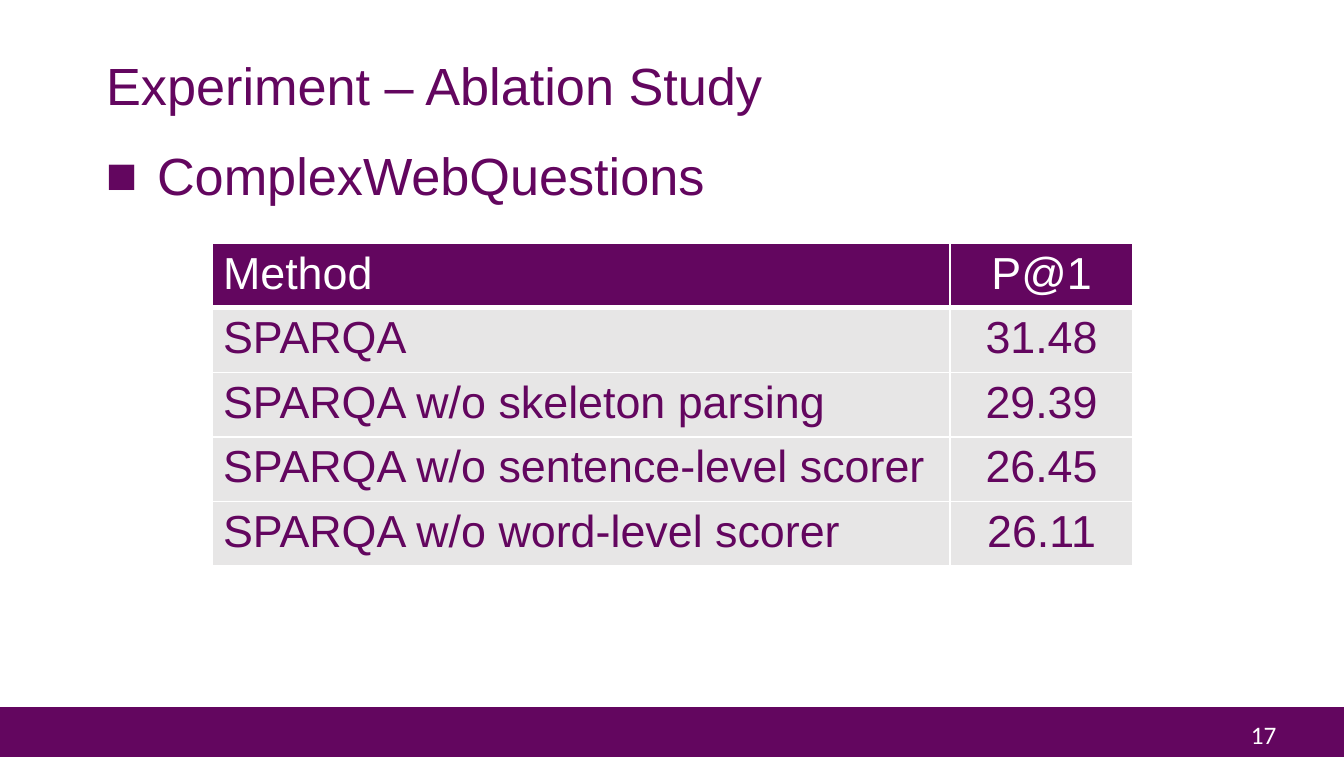
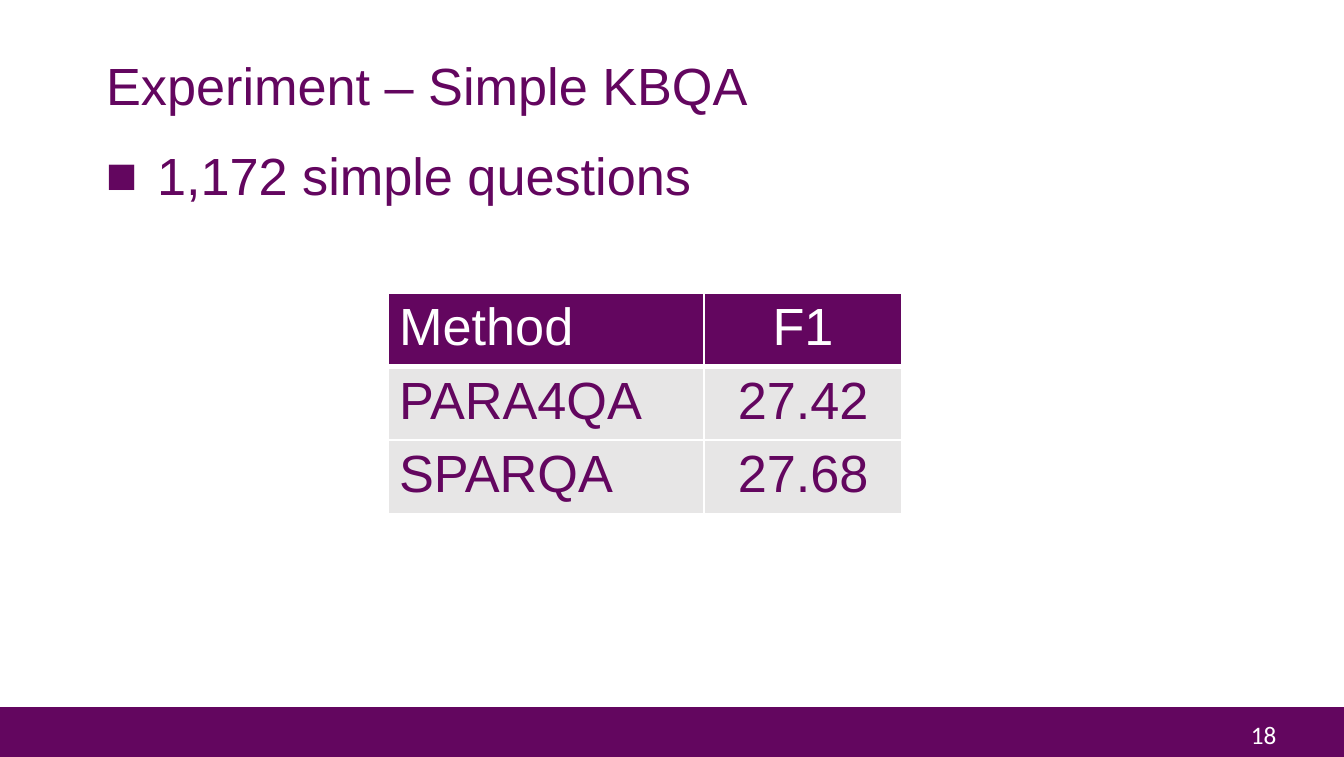
from pptx import Presentation
from pptx.dml.color import RGBColor
from pptx.enum.shapes import MSO_SHAPE as Shape
from pptx.enum.text import MSO_ANCHOR as Anchor, MSO_AUTO_SIZE as AutoSize, PP_ALIGN as Align
from pptx.oxml.ns import qn
from pptx.util import Inches, Pt
from lxml.etree import SubElement

COLORS = {"purple": "63065F", "white": "FFFFFF", "grey": "E7E6E6"}
TITLE_ONLY = 5
TEXT_LEFT, TEXT_WIDTH = 0.69, 8.62


def color(name):
    return RGBColor.from_string(COLORS[name])


def style(para, size, color_name, align=Align.LEFT, font_name="Arial"):
    para.alignment = align
    para.font.size = Pt(size)
    para.font.name = font_name
    para.font.bold = False
    para.font.color.rgb = color(color_name)


def add_text(page, text, left, top, width, height, wrap=True):
    box = page.shapes.add_textbox(Inches(left), Inches(top), Inches(width), Inches(height))
    box.text_frame.word_wrap = wrap
    para = box.text_frame.paragraphs[0]
    para.text = text
    return para


def add_footer(page, number):
    band = page.shapes.add_shape(Shape.RECTANGLE, 0, Inches(5.26), Inches(10), Inches(0.37))
    band.shadow.inherit = False
    band.fill.solid()
    band.fill.fore_color.rgb = color("purple")
    band.line.fill.background()
    para = add_text(page, str(number), 9.21, 5.3, 0.43, 0.33, wrap=False)
    style(para, 13.5, "white", font_name="Calibri")


def set_title(page, text):
    title = page.shapes.title
    title.left, title.top = Inches(TEXT_LEFT), Inches(0.39)
    title.width, title.height = Inches(TEXT_WIDTH), Inches(0.54)
    frame = title.text_frame
    frame.text = text
    frame.vertical_anchor = Anchor.MIDDLE
    frame.auto_size = AutoSize.NONE
    para = frame.paragraphs[0]
    para.line_spacing = 0.9
    style(para, 28, "purple")


def add_bullet(page, text):
    para = add_text(page, text, TEXT_LEFT, 1.07, TEXT_WIDTH, 3.98)
    para.line_spacing = 0.9
    para.space_before = Pt(7.5)
    style(para, 28, "purple")
    props = para._p.get_or_add_pPr()
    props.set("marL", str(Inches(0.38)))
    props.set("indent", str(-Inches(0.38)))
    bullet_color = SubElement(props, qn("a:buClr"))
    SubElement(bullet_color, qn("a:srgbClr"), val=COLORS["purple"])
    SubElement(props, qn("a:buFont"), typeface="Arial")
    SubElement(props, qn("a:buChar"), char="■")


def set_borders(cell, top, bottom):
    props = cell._tc.get_or_add_tcPr()
    for side, width in (("L", 1), ("R", 1), ("T", top), ("B", bottom)):
        line = SubElement(props, qn(f"a:ln{side}"), w=str(Pt(width)))
        fill = SubElement(line, qn("a:solidFill"))
        SubElement(fill, qn("a:srgbClr"), val=COLORS["white"])


def fill_cell(cell, text, row, column, size):
    is_header = row == 0
    set_borders(cell, top=3 if row == 1 else 1, bottom=3 if is_header else 1)
    cell.fill.solid()
    cell.fill.fore_color.rgb = color("purple" if is_header else "grey")
    cell.margin_left = cell.margin_right = Inches(0.08)
    cell.margin_top = cell.margin_bottom = Inches(0.04)
    cell.text = text
    style(cell.text_frame.paragraphs[0], size, "white" if is_header else "purple",
          Align.CENTER if column else Align.LEFT)


def add_score_table(page, rows, left, top, widths, row_height, size):
    frame = page.shapes.add_table(len(rows), len(widths), Inches(left), Inches(top),
                                  Inches(sum(widths)), Inches(row_height * len(rows)))
    table = frame.table
    for column, width in zip(table.columns, widths):
        column.width = Inches(width)
    for r, values in enumerate(rows):
        table.rows[r].height = Inches(row_height)
        for c, text in enumerate(values):
            fill_cell(table.cell(r, c), text, r, c, size)


def add_page(deck, number, title, bullet):
    page = deck.slides.add_slide(deck.slide_layouts[TITLE_ONLY])
    add_footer(page, number)
    add_bullet(page, bullet)
    set_title(page, title)
    return page


def main():
    deck = Presentation()
    deck.slide_width, deck.slide_height = Inches(10), Inches(5.63)

    ablation = add_page(deck, 17, "Experiment – Ablation Study", "ComplexWebQuestions")
    ablation_scores = [
        ("Method", "P@1"),
        ("SPARQA", "31.48"),
        ("SPARQA w/o skeleton parsing", "29.39"),
        ("SPARQA w/o sentence-level scorer", "26.45"),
        ("SPARQA w/o word-level scorer", "26.11"),
    ]
    add_score_table(ablation, ablation_scores, 1.58, 1.81, (5.49, 1.36), 0.47, 24)

    simple = add_page(deck, 18, "Experiment – Simple KBQA", "1,172 simple questions")
    simple_scores = [("Method", "F1"), ("PARA4QA", "27.42"), ("SPARQA", "27.68")]
    add_score_table(simple, simple_scores, 2.89, 2.18, (2.35, 1.47), 0.53, 28)

    deck.save("out.pptx")


if __name__ == "__main__":
    main()
